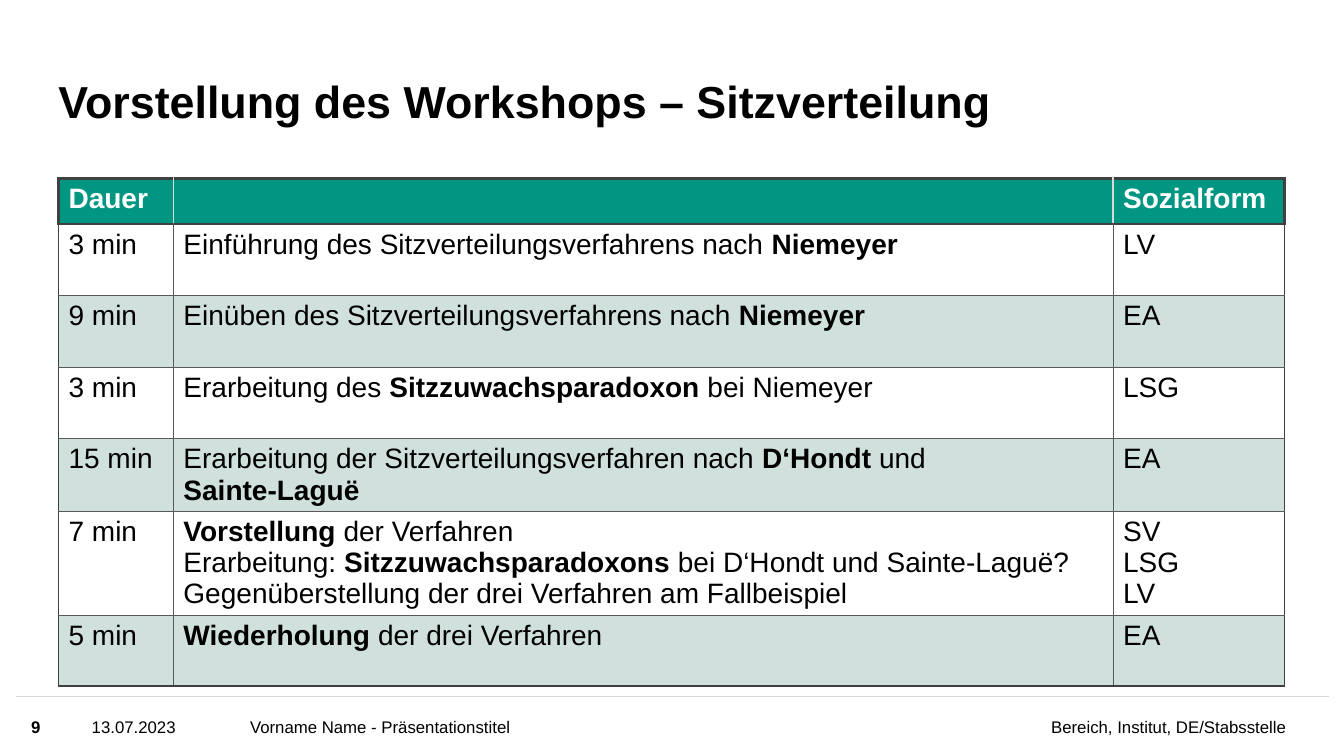
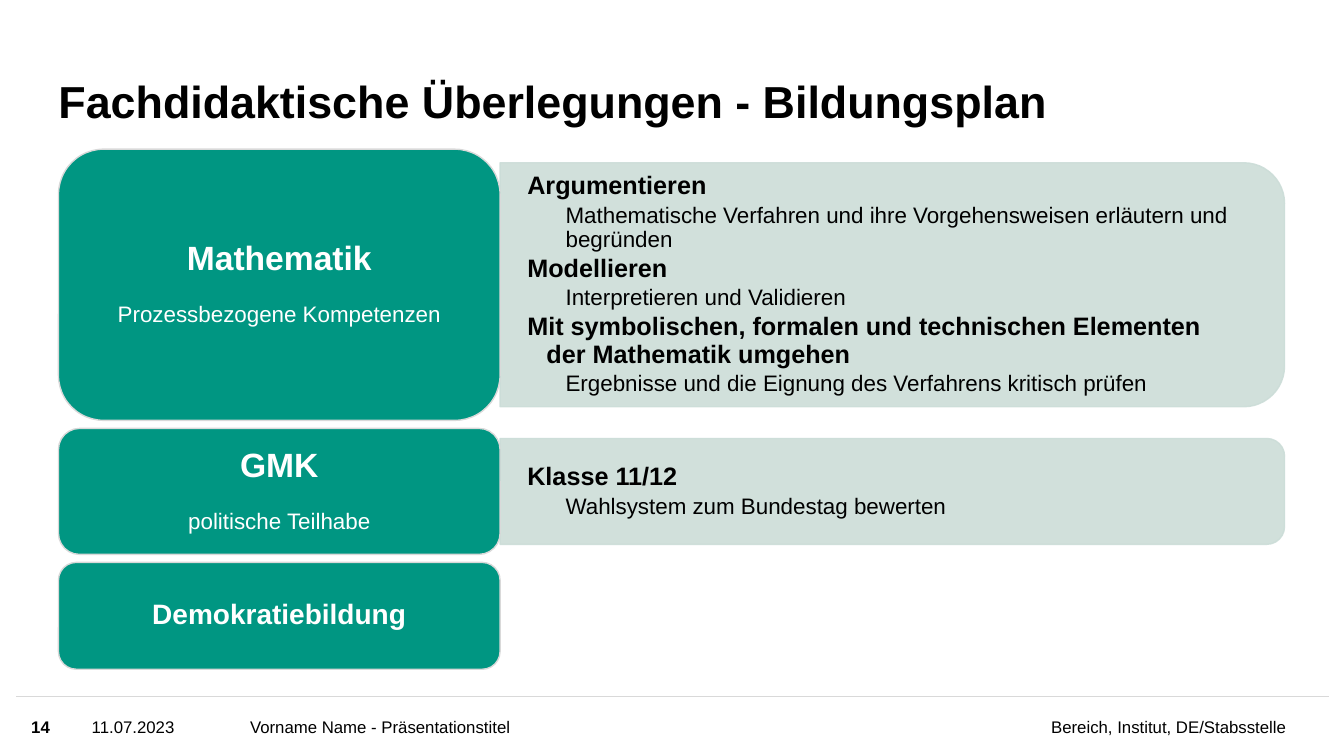
import lxml.etree
import pptx
import pptx.dml.color
import pptx.enum.shapes
import pptx.enum.text
import pptx.oxml.ns
import pptx.util

Inches = pptx.util.Inches
Pt = pptx.util.Pt
qn = pptx.oxml.ns.qn
ALIGN = pptx.enum.text.PP_ALIGN
ANCHOR = pptx.enum.text.MSO_ANCHOR
SHAPE = pptx.enum.shapes.MSO_SHAPE

COLORS = {
    "text": "000000", "white": "FFFFFF", "green": "009682", "band": "D0E0DC",
    "panel": "CCDDD8", "rule": "D9D9D9", "frame": "404040", "grid": "595959",
}
FONT = "Arial"
TITLE_ONLY, TWO_CONTENT = 5, 3
LEFT = 0.58


def rgb(name):
    return pptx.dml.color.RGBColor.from_string(COLORS[name])


class Deck:
    """Holds the style and the current slide."""

    def __init__(self):
        self.prs = pptx.Presentation()
        self.prs.slide_width = Inches(13.33)
        self.prs.slide_height = Inches(7.5)
        self.slide = None

    # Slide frame: title, rule and footer
    def start_slide(self, layout, title, number, date):
        self.slide = self.prs.slides.add_slide(self.prs.slide_layouts[layout])
        heading = self.slide.shapes.title
        self.place(heading, LEFT, 0.43, 10.02, 0.84)
        frame = self.prepare(heading, anchor=ANCHOR.BOTTOM)
        self.set_text(frame.paragraphs[0], title, 32, bold=True, spacing=0.9)
        self.rule(0.16, 13.18, 6.91)
        self.footer(2.48, 5.37, "Vorname Name - Präsentationstitel")
        self.footer(8.03, 4.73, "Bereich, Institut, DE/Stabsstelle", align=ALIGN.RIGHT)
        self.footer(0.91, 1.5, date)
        self.footer(0.31, 0.48, number, bold=True)

    def rule(self, start, end, y):
        line = self.slide.shapes.add_connector(
            pptx.enum.shapes.MSO_CONNECTOR.STRAIGHT,
            Inches(start), Inches(y), Inches(end), Inches(y))
        line.line.color.rgb = rgb("rule")
        line.line.width = Pt(1)
        lxml.etree.SubElement(line._element.spPr, qn("a:effectLst"))

    def footer(self, left, width, text, bold=False, align=ALIGN.LEFT):
        box = self.slide.shapes.add_textbox(
            Inches(left), Inches(6.92), Inches(width), Inches(0.58))
        frame = self.prepare(box)
        self.set_text(frame.paragraphs[0], text, 12, bold=bold, align=align)

    # Text helpers
    def place(self, shape, left, top, width, height):
        shape.left, shape.top = Inches(left), Inches(top)
        shape.width, shape.height = Inches(width), Inches(height)

    def prepare(self, shape, side=0, edge=0, anchor=ANCHOR.MIDDLE):
        frame = shape.text_frame
        frame.word_wrap = True
        frame.auto_size = pptx.enum.text.MSO_AUTO_SIZE.NONE
        frame.vertical_anchor = anchor
        frame.margin_left = frame.margin_right = Inches(side)
        frame.margin_top = frame.margin_bottom = Inches(edge)
        return frame

    def add_paragraphs(self, frame, count):
        while len(frame.paragraphs) < count:
            frame.add_paragraph()
        return frame.paragraphs

    def set_text(self, paragraph, text, size, color="text", bold=False,
                 align=ALIGN.LEFT, spacing=1.0, after=0):
        """Set the text; parts between asterisks are bold."""
        paragraph.alignment = align
        paragraph.line_spacing = spacing
        paragraph.space_before, paragraph.space_after = Pt(0), Pt(after)
        for index, part in enumerate(text.split("*")):
            if part:
                run = paragraph.add_run()
                run.text = part
                run.font.name, run.font.size = FONT, Pt(size)
                run.font.bold = bold or index % 2 == 1
                run.font.color.rgb = rgb(color)

    # Table
    def border(self, cell, side, color, width):
        line = lxml.etree.SubElement(
            cell._tc.get_or_add_tcPr(), qn("a:ln" + side), w=str(Pt(width)))
        fill = lxml.etree.SubElement(line, qn("a:solidFill"))
        lxml.etree.SubElement(fill, qn("a:srgbClr"), val=COLORS[color])

    def table(self, top, widths, heights, rows):
        table = self.slide.shapes.add_table(
            len(rows), len(widths), Inches(LEFT), Inches(top),
            Inches(sum(widths)), Inches(sum(heights))).table
        table.horz_banding = False
        for column, width in zip(table.columns, widths):
            column.width = Inches(width)
        for row, height in zip(table.rows, heights):
            row.height = Inches(height)
        last_row, last_col = len(rows) - 1, len(widths) - 1
        for r, row in enumerate(rows):
            header = r == 0
            outer = ("frame", 2.25 if header else 1.5)
            inner = ("rule", 1) if header else ("grid", 0.5)
            for c, text in enumerate(row):
                cell = table.cell(r, c)
                self.border(cell, "L", *(outer if c == 0 else inner))
                self.border(cell, "R", *(outer if c == last_col else inner))
                self.border(cell, "T", *(outer if header else
                                         ("frame", 1.5) if r == 1 else inner))
                self.border(cell, "B", *(("frame", 1.5) if r in (0, last_row) else inner))
                cell.fill.solid()
                cell.fill.fore_color.rgb = rgb(
                    "green" if header else "white" if r % 2 else "band")
                lines = text.split("\n")
                for paragraph, line in zip(
                        self.add_paragraphs(cell.text_frame, len(lines)), lines):
                    self.set_text(paragraph, line, 20, "white" if header else "text", header)

    # Cards and panels
    def shape(self, kind, left, top, width, height, fill, line):
        shape = self.slide.shapes.add_shape(
            kind, Inches(left), Inches(top), Inches(width), Inches(height))
        shape.shadow.inherit = False
        shape.fill.solid()
        shape.fill.fore_color.rgb = rgb(fill)
        shape.line.color.rgb = rgb(line)
        shape.line.width = Pt(1)
        return shape

    def card(self, top, width, height, heading, size, subtitle):
        card = self.shape(SHAPE.ROUNDED_RECTANGLE, LEFT, top, width, height, "green", "rule")
        lines = [(heading, size, True)]
        if subtitle:
            lines.append((subtitle, 16, False))
        frame = self.prepare(card, 0.1, 0.05)
        for paragraph, (text, points, bold) in zip(
                self.add_paragraphs(frame, len(lines)), lines):
            self.set_text(paragraph, text, points, "white", bold, ALIGN.CENTER, 0.9,
                          after=18 if bold and subtitle else 0)

    def panel(self, left, middle, width, height):
        """Draw a panel rounded on its right side, by turning the preset."""
        panel = self.shape(
            SHAPE.ROUND_2_SAME_RECTANGLE, left + (width - height) / 2,
            middle - width / 2, height, width, "panel", "panel")
        panel.rotation = 90
        for color in list(panel._element.spPr.iter(qn("a:srgbClr"))):
            lxml.etree.SubElement(color, qn("a:alpha"), val="90000")

    def skills(self, index, left, middle, width, height, items):
        """Fill a body placeholder with (level, text) items, above the panels."""
        body = self.slide.placeholders[index]
        self.slide.shapes._spTree.append(body._element)
        self.place(body, left, middle - height / 2, width, height)
        frame = self.prepare(body, 0.27, 0.1)
        for paragraph, (level, text) in zip(
                self.add_paragraphs(frame, len(items)), items):
            paragraph.level = level
            properties = paragraph._p.get_or_add_pPr()
            properties.set("marL", str(Inches(0.19 * (level + 1))))
            properties.set("indent", str(Inches(0 if level else -0.19)))
            lxml.etree.SubElement(properties, qn("a:buNone"))
            self.set_text(paragraph, text, 16 if level else 18, bold=level == 0,
                          spacing=0.9, after=2.4 if level else 2.7)


SCHEDULE = [
    ("Dauer", "", "Sozialform"),
    ("3 min", "Einführung des Sitzverteilungsverfahrens nach *Niemeyer*", "LV"),
    ("9 min", "Einüben des Sitzverteilungsverfahrens nach *Niemeyer*", "EA"),
    ("3 min", "Erarbeitung des *Sitzzuwachsparadoxon* bei Niemeyer", "LSG"),
    ("15 min", "Erarbeitung der Sitzverteilungsverfahren nach *D‘Hondt* und\n"
               "*Sainte-Laguë*", "EA"),
    ("7 min", "*Vorstellung* der Verfahren\n"
              "Erarbeitung: *Sitzzuwachsparadoxons* bei D‘Hondt und Sainte-Laguë?\n"
              "Gegenüberstellung der drei Verfahren am Fallbeispiel", "SV\nLSG\nLV"),
    ("5 min", "*Wiederholung* der drei Verfahren", "EA"),
]

# Heading, size, subtitle, card height, panel height, skills
SUBJECTS = [
    ("Mathematik", 24, "Prozessbezogene Kompetenzen", 2.69, 2.42, [
        (0, "Argumentieren"),
        (1, "Mathematische Verfahren und ihre Vorgehensweisen erläutern und begründen"),
        (0, "Modellieren"),
        (1, "Interpretieren und Validieren"),
        (0, "Mit symbolischen, formalen und technischen Elementen der Mathematik umgehen"),
        (1, "Ergebnisse und die Eignung des Verfahrens kritisch prüfen"),
    ]),
    ("GMK", 24, "politische Teilhabe", 1.25, 1.05, [
        (0, "Klasse 11/12"),
        (1, "Wahlsystem zum Bundestag bewerten"),
    ]),
    ("Demokratiebildung", 20, "", 1.06, 0, []),
]


def main():
    deck = Deck()

    # Workshop schedule
    deck.start_slide(TITLE_ONLY, "Vorstellung des Workshops – Sitzverteilung",
                     "9", "13.07.2023")
    deck.table(1.77, [1.14, 9.32, 1.7], [0.45] + [0.71] * 4 + [1.03, 0.71], SCHEDULE)

    # Curriculum
    deck.start_slide(TWO_CONTENT, "Fachdidaktische Überlegungen - Bildungsplan",
                     "14", "11.07.2023")
    top, card_width, gap = 1.48, 4.38, 0.08
    panel_left = LEFT + card_width
    for index, subject in enumerate(SUBJECTS, start=1):
        heading, size, subtitle, height, panel_height, skills = subject
        if skills:
            middle = top + height / 2
            deck.panel(panel_left, middle, 7.78, panel_height)
            deck.skills(index, panel_left, middle, 7.66, panel_height, skills)
        deck.card(top, card_width, height, heading, size, subtitle)
        top += height + gap

    deck.prs.save("out.pptx")


if __name__ == "__main__":
    main()
